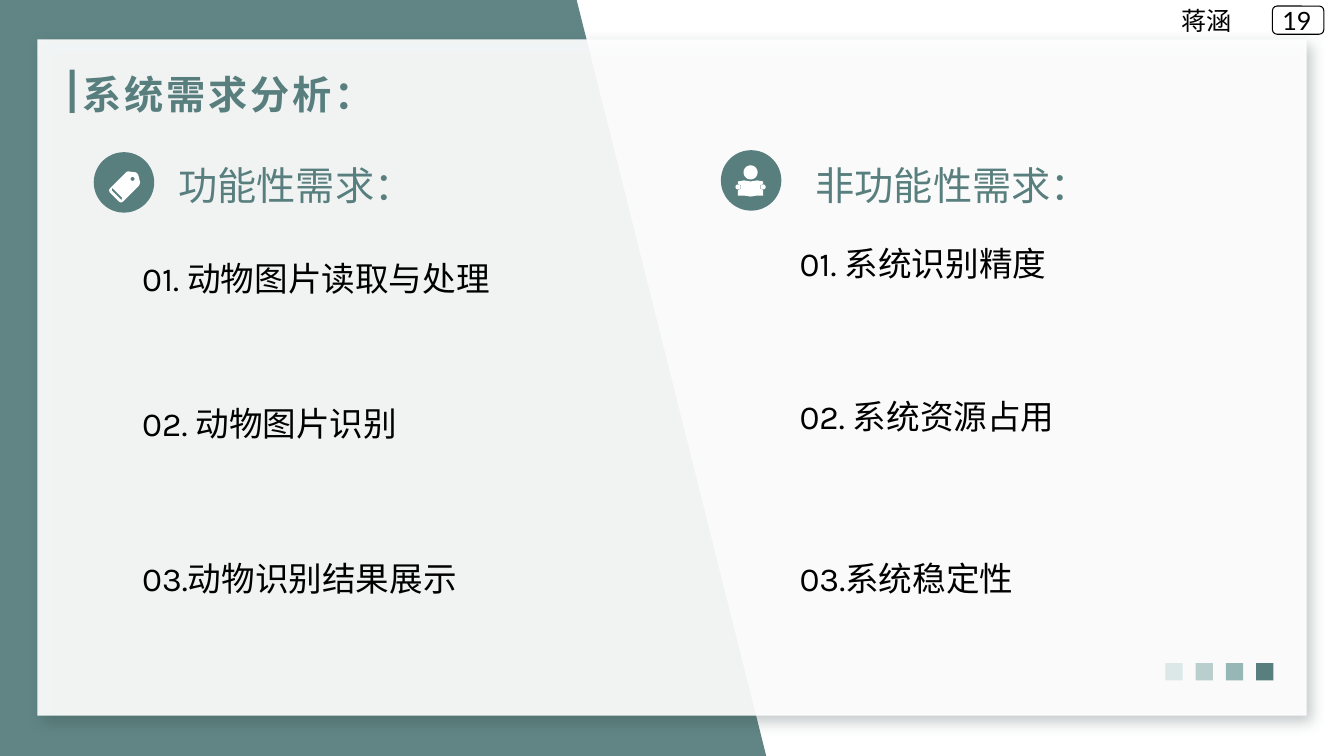
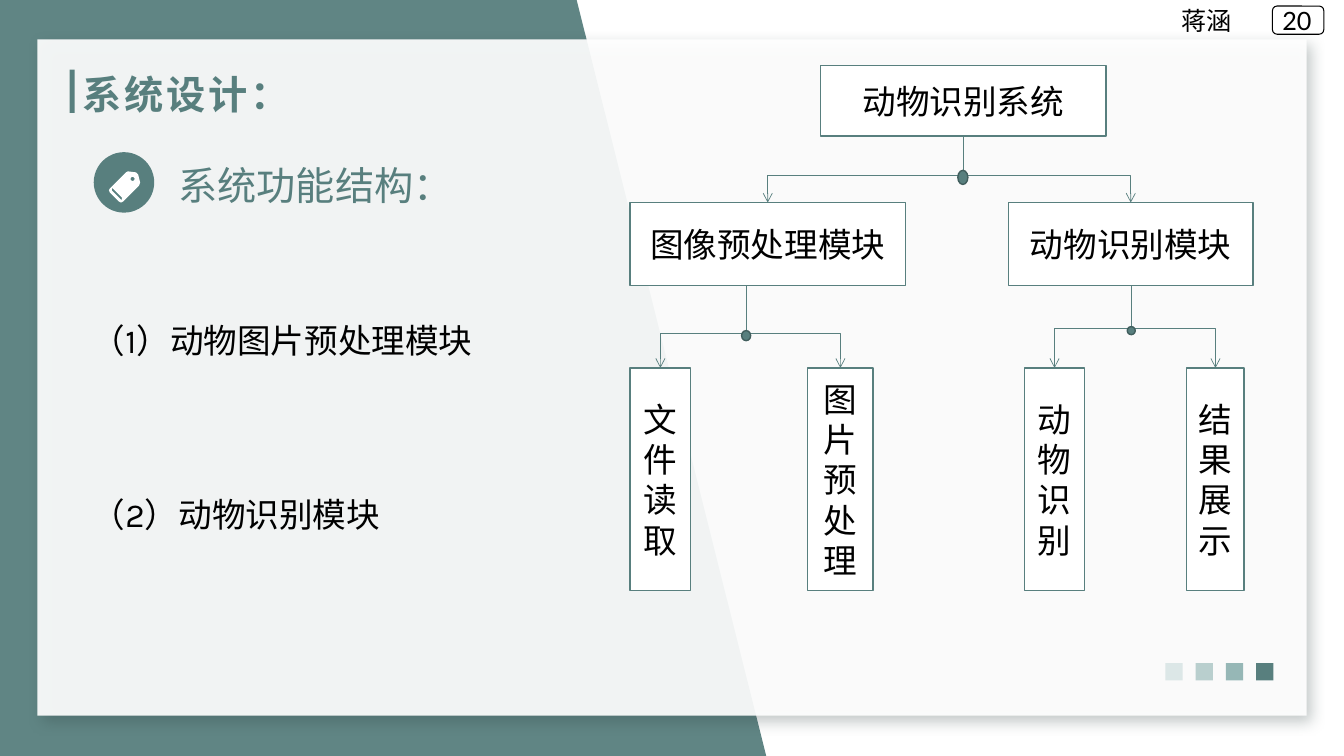
from math import cos, pi, sin

from pptx import Presentation
from pptx.dml.color import RGBColor
from pptx.enum.shapes import MSO_CONNECTOR, MSO_SHAPE
from pptx.enum.text import MSO_ANCHOR, MSO_AUTO_SIZE, PP_ALIGN
from pptx.oxml import parse_xml
from pptx.oxml.ns import nsdecls, qn
from pptx.util import Inches, Pt

RECT, ROUND, OVAL = MSO_SHAPE.RECTANGLE, MSO_SHAPE.ROUNDED_RECTANGLE, MSO_SHAPE.OVAL
STRAIGHT, ELBOW = MSO_CONNECTOR.STRAIGHT, MSO_CONNECTOR.ELBOW
TOP, MIDDLE = MSO_ANCHOR.TOP, MSO_ANCHOR.MIDDLE
LEFT, CENTER = PP_ALIGN.LEFT, PP_ALIGN.CENTER
FIXED = MSO_AUTO_SIZE.NONE

TEAL, EDGE, SHADE = "587F7E", "415E5D", "2C403F"
WHITE, BLACK = "FFFFFF", "000000"
STEPS = ["DCE7E7", "B9CFCE", "96B7B6", TEAL]
HEAD, BODY = "Karla", "Lato"
LINE = 29  # line height of lists, points
DISC = 0.6


def ring(x, y, r, n=24):
    """Points of a circle."""
    return [(x + r * cos(2 * pi * i / n), y + r * sin(2 * pi * i / n)) for i in range(n)]


# Icon outlines, in inches from the top left of their disc
TAG = [
    [(0.46, 0.3), (0.44, 0.22), (0.42, 0.2), (0.34, 0.19), (0.32, 0.2), (0.16, 0.36),
     (0.15, 0.38), (0.16, 0.4), (0.25, 0.49), (0.27, 0.5), (0.29, 0.49), (0.45, 0.33)],
    [(0.28, 0.47), (0.27, 0.47), (0.18, 0.38), (0.18, 0.36), (0.19, 0.36), (0.28, 0.45)],
    ring(0.385, 0.265, 0.02),
]
READER = [
    ring(0.295, 0.22, 0.07),
    ring(0.17, 0.365, 0.025),
    ring(0.42, 0.365, 0.025),
    [(0.17, 0.31), (0.23, 0.3), (0.295, 0.31), (0.36, 0.3), (0.42, 0.31), (0.42, 0.33),
     (0.39, 0.35), (0.39, 0.38), (0.42, 0.4), (0.42, 0.45), (0.36, 0.45), (0.295, 0.46),
     (0.23, 0.45), (0.17, 0.45), (0.17, 0.4), (0.2, 0.38), (0.2, 0.35), (0.17, 0.33)],
]

# layout index, title, headings (disc x, disc y, icon, text x, text),
# lists (x, y, width, items, pitches)
PAGES = [
    dict(no="19", layout=3, title="系统需求分析：",
         heads=[(0.93, 1.51, TAG, 1.77, "功能性需求："),
                (7.15, 1.49, READER, 8.09, "非功能性需求：")],
         lists=[(1.41, 2.56, 4.1,
                 ["01. 动物图片读取与处理", "02. 动物图片识别", "03.动物识别结果展示"],
                 [1.43, 1.54]),
                (7.93, 2.41, 3.4,
                 ["01. 系统识别精度", "02. 系统资源占用", "03.系统稳定性"],
                 [1.51, 1.61])]),
    dict(no="20", layout=1, title="系统设计：",
         heads=[(0.93, 1.51, TAG, 1.77, "系统功能结构：")],
         lists=[(0.91, 3.17, 4.3,
                 ["（1）动物图片预处理模块", "（2）动物识别模块"], [1.72])]),
]

# Boxes of the tree: text, x, y, width, height
ROOT = ("动物识别系统", 8.14, 0.65, 2.83, 0.7)
PREP = ("图像预处理模块", 6.25, 2.01, 2.73, 0.82)
RECOG = ("动物识别模块", 10, 2.01, 2.43, 0.82)
LEAVES = [(text, x, 3.65, w, 2.21) for text, x, w in [
    ("文件读取", 6.25, 0.6), ("图片预处理", 8.01, 0.65),
    ("动物识别", 10.16, 0.6), ("结果展示", 11.77, 0.57)]]
# Parent, hub x, hub y, dot width, dot height, children
FORKS = [
    (ROOT, 9.55, 1.74, 0.1, 0.14, [PREP, RECOG]),
    (PREP, 7.4, 3.31, 0.09, 0.1, LEAVES[:2]),
    (RECOG, 11.22, 3.26, 0.08, 0.08, LEAVES[2:]),
]


def rgb(code):
    return RGBColor.from_string(code)


def paint(shape, fill, line=None, width=1, alpha=None):
    shape.shadow.inherit = False
    shape.fill.solid()
    shape.fill.fore_color.rgb = rgb(fill)
    if alpha:
        color = shape._element.spPr.find(qn("a:solidFill"))[0]
        color.append(parse_xml(f'<a:alpha {nsdecls("a")} val="{alpha * 1000}"/>'))
    if line:
        shape.line.color.rgb = rgb(line)
        shape.line.width = Pt(width)
    else:
        shape.line.fill.background()
    return shape


def block(slide, kind, x, y, w, h, fill, **look):
    shape = slide.shapes.add_shape(kind, Inches(x), Inches(y), Inches(w), Inches(h))
    return paint(shape, fill, **look)


def outline(slide, x, y, rings, fill, **look):
    """Draw closed polygons as one freeform; inner ones become holes."""
    rings = [[(Inches(x + a), Inches(y + b)) for a, b in points] for points in rings]
    pen = slide.shapes.build_freeform(*rings[0][0], scale=1.0)
    for i, points in enumerate(rings):
        if i:
            pen.move_to(*points[0])
        pen.add_line_segments(points[1:], close=True)
    return paint(pen.convert_to_shape(), fill, **look)


def style(frame, size, font, color, bold=False, align=LEFT):
    for par in frame.paragraphs:
        par.alignment = align
        for run in par.runs:
            run.font.size, run.font.name, run.font.bold = Pt(size), font, bold
            run.font.color.rgb = rgb(color)


def inset(frame, x, y):
    frame.margin_left = frame.margin_right = Inches(x)
    frame.margin_top = frame.margin_bottom = Inches(y)


def label(slide, text, x, y, w, h, size, font, color, pad=(0, 0)):
    box = slide.shapes.add_textbox(Inches(x), Inches(y), Inches(w), Inches(h))
    frame = box.text_frame
    frame.word_wrap = True
    inset(frame, *pad)
    frame.text = text
    style(frame, size, font, color)
    return box


def frame_master(slide, master):
    """Draw the shared parts once and move them to the master."""
    band = [(0, 0), (5.72, 0), (7.6, 7.5), (0, 7.5)]
    card = (0.37, 0.39, 12.59, 6.71)
    parts = [outline(slide, 0, 0, [band], TEAL, alpha=95),
             block(slide, RECT, *card, WHITE, alpha=92)]
    effects = parts[1]._element.spPr.find(qn("a:effectLst"))
    effects.append(parse_xml(
        f'<a:outerShdw {nsdecls("a")} blurRad="{Pt(10)}" dist="{Pt(6)}" dir="2700000" '
        f'algn="tl" rotWithShape="0"><a:srgbClr val="{SHADE}"><a:alpha val="30000"/>'
        '</a:srgbClr></a:outerShdw>'))
    for i, color in enumerate(STEPS):
        parts.append(block(slide, RECT, 11.56 + 0.3 * i, 6.58, 0.17, 0.17, color))
    parts.append(block(slide, RECT, 0.69, 0.69, 0.05, 0.43, TEAL))
    parts.append(block(slide, ROUND, 12.62, 0.06, 0.51, 0.28, WHITE, line=BLACK, width=0.75))
    parts.append(label(slide, "蒋涵", 11.62, 0, 1, 0.4, 18, BODY, BLACK, (0.1, 0.05)))

    title = master.placeholders[0]
    title.left, title.top = Inches(0.72), Inches(0.65)
    title.width, title.height = Inches(5.28), Inches(0.48)
    title.text_frame.vertical_anchor = TOP
    tree = title._element.getparent()
    for i, part in enumerate(parts):
        part._element.nvSpPr.cNvPr.set("id", str(100 + i))
        tree.insert(2 + i, part._element)


def fill_title(slide, text):
    frame = slide.shapes.title.text_frame
    frame.text = text
    frame.auto_size = FIXED
    style(frame, 28, HEAD, TEAL, bold=True)
    frame.paragraphs[0].runs[0].font._element.set("spc", "200")


def fill_list(holder, x, y, w, items, gaps):
    holder.left, holder.top = Inches(x), Inches(y)
    holder.width, holder.height = Inches(w), Inches(sum(gaps) + 0.4)
    frame = holder.text_frame
    frame.text = "\n".join(items)
    frame.auto_size = FIXED
    inset(frame, 0, 0)
    for par, gap in zip(frame.paragraphs, [0] + gaps):
        props = par._p.get_or_add_pPr()
        props.set("marL", "0")
        props.set("indent", "0")
        props.append(parse_xml(f'<a:buNone {nsdecls("a")}/>'))
        par.line_spacing = Pt(LINE)
        par.space_before = Pt(round(gap * 72 - LINE) if gap else 0)
        par.space_after = Pt(0)
    style(frame, 24, HEAD, BLACK)


def link(slide, kind, x1, y1, x2, y2):
    line = slide.shapes.add_connector(kind, Inches(x1), Inches(y1), Inches(x2), Inches(y2))
    line.line.color.rgb = rgb(TEAL)
    line.line.width = Pt(0.5)
    props = line._element.spPr
    if kind == ELBOW:
        props.find(qn("a:prstGeom")).set("prst", "bentConnector2")
        props.find(qn("a:ln")).append(parse_xml(f'<a:tailEnd {nsdecls("a")} type="arrow"/>'))
    props.append(parse_xml(f'<a:effectLst {nsdecls("a")}/>'))


def draw_tree(slide):
    for text, *place in [ROOT, PREP, RECOG, *LEAVES]:
        frame = block(slide, RECT, *place, WHITE, line=TEAL).text_frame
        frame.text = text
        frame.word_wrap = True
        frame.vertical_anchor = MIDDLE
        style(frame, 24, BODY, BLACK, align=CENTER)
    for (_, _, top, _, high), x, y, w, h, kids in FORKS:
        link(slide, STRAIGHT, x, top + high, x, y)
        for _, left, kid_top, wide, _ in kids:
            link(slide, ELBOW, x, y, left + wide / 2, kid_top)
        block(slide, OVAL, x - w / 2, y + 0.02 - h / 2, w, h, TEAL, line=EDGE)


def main():
    prs = Presentation()
    prs.slide_width, prs.slide_height = Inches(13.33), Inches(7.5)
    for i, page in enumerate(PAGES):
        slide = prs.slides.add_slide(prs.slide_layouts[page["layout"]])
        if i == 0:
            frame_master(slide, prs.slide_master)
        fill_title(slide, page["title"])
        bodies = list(slide.placeholders)[1:]
        for holder, data in zip(bodies, page["lists"]):
            fill_list(holder, *data)
        for x, y, icon, left, text in page["heads"]:
            block(slide, OVAL, x, y, DISC, DISC, TEAL)
            outline(slide, x, y, icon, WHITE)
            label(slide, text, left, 1.6, 3, 0.47, 28, HEAD, TEAL)
        label(slide, page["no"], 12.62, 0, 0.51, 0.4, 18, BODY, BLACK, (0.1, 0.05))
    draw_tree(slide)
    prs.save("out.pptx")


if __name__ == "__main__":
    main()
